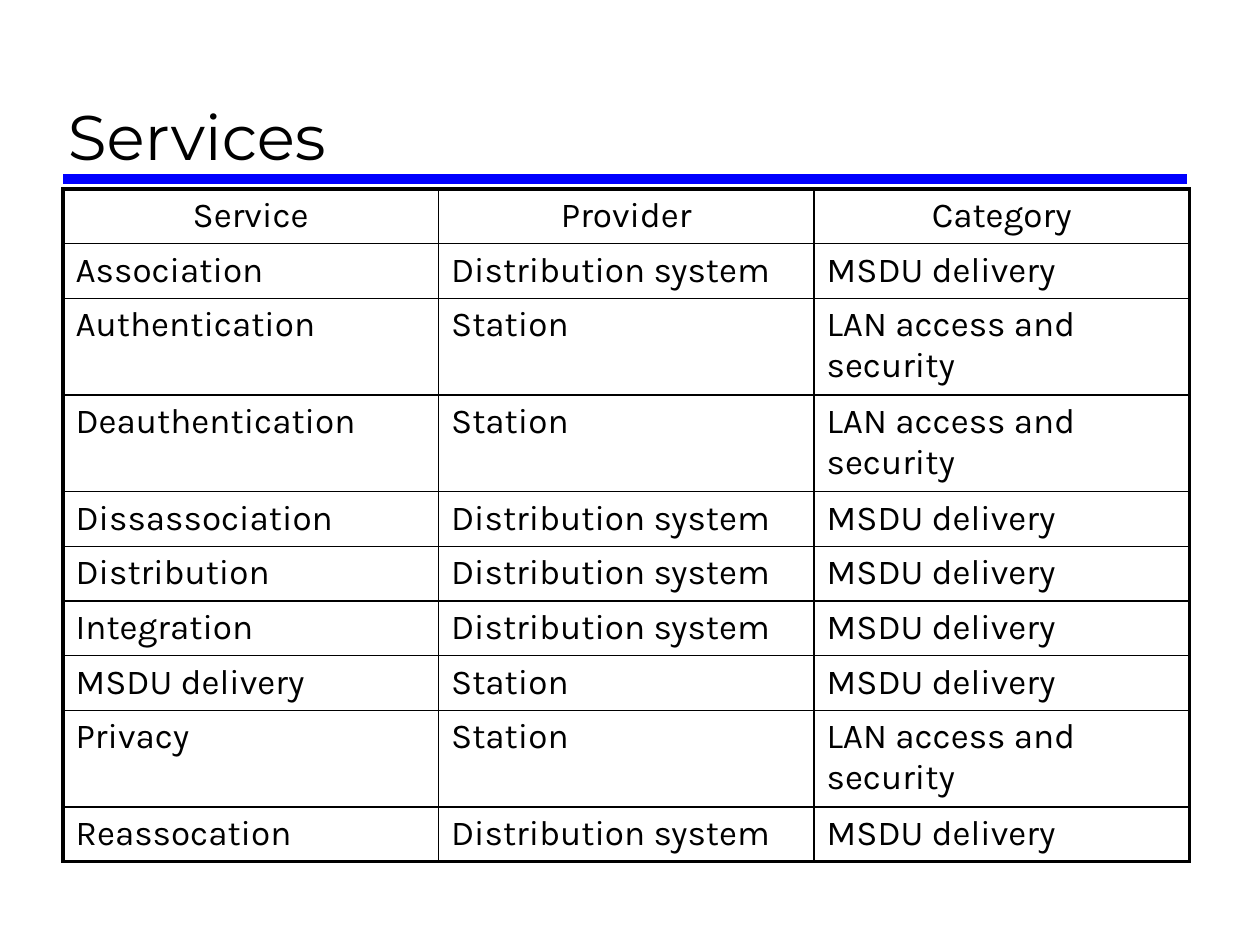
from lxml import etree
from pptx import Presentation
from pptx.dml.color import RGBColor
from pptx.enum.shapes import MSO_CONNECTOR
from pptx.enum.text import MSO_ANCHOR, PP_ALIGN
from pptx.oxml import parse_xml
from pptx.oxml.ns import nsdecls, qn
from pptx.util import Cm, Pt

BLACK = "000000"
BLUE = "0000FF"
THIN, THICK = 1, 2.25
ROW_HEIGHT, TALL_ROW_HEIGHT = 1.08, 1.91

SYSTEM, STATION = "Distribution system", "Station"
DELIVERY, SECURITY = "MSDU delivery", "LAN access and security"
SERVICES = [
    ("Service", "Provider", "Category"),
    ("Association", SYSTEM, DELIVERY),
    ("Authentication", STATION, SECURITY),
    ("Deauthentication", STATION, SECURITY),
    ("Dissassociation", SYSTEM, DELIVERY),
    ("Distribution", SYSTEM, DELIVERY),
    ("Integration", SYSTEM, DELIVERY),
    ("MSDU delivery", STATION, DELIVERY),
    ("Privacy", STATION, SECURITY),
    ("Reassocation", SYSTEM, DELIVERY),
]


def color(hex_string):
    return RGBColor.from_string(hex_string)


def style_runs(paragraph, font_name, size):
    for run in paragraph.runs:
        run.font.name = font_name
        run.font.size = Pt(size)
        run.font.color.rgb = color(BLACK)


def add_heading(slide, left, top, width, height):
    # Title, resting on the rule
    title = slide.shapes.add_textbox(Cm(left), Cm(top), Cm(width), Cm(height))
    frame = title.text_frame
    frame.word_wrap = True
    frame.vertical_anchor = MSO_ANCHOR.BOTTOM
    frame.text = "Services"
    style_runs(frame.paragraphs[0], "Montserrat", 36)

    # Blue rule along the bottom edge
    bottom = Cm(top + height)
    rule = slide.shapes.add_connector(
        MSO_CONNECTOR.STRAIGHT, Cm(left + 0.15), bottom, Cm(left + width + 0.03), bottom)
    rule.line.color.rgb = color(BLUE)
    rule.line.width = Pt(6)
    etree.SubElement(rule._element.spPr, qn("a:effectLst"))


def set_borders(cell, widths):
    """Draw the borders given as left, right, top and bottom widths in points."""
    properties = cell._tc.get_or_add_tcPr()
    for position, (side, width) in enumerate(zip("LRTB", widths)):
        properties.insert(position, parse_xml(
            f'<a:ln{side} {nsdecls("a")} w="{Pt(width)}"><a:solidFill>'
            f'<a:srgbClr val="{BLACK}"/></a:solidFill></a:ln{side}>'))


def add_services_table(slide, left, top, width):
    heights = [TALL_ROW_HEIGHT if category == SECURITY else ROW_HEIGHT
               for _, _, category in SERVICES]
    last_row, last_column = len(SERVICES) - 1, len(SERVICES[0]) - 1
    table = slide.shapes.add_table(
        last_row + 1, last_column + 1,
        Cm(left), Cm(top), Cm(width), Cm(sum(heights))).table
    table.first_row = False
    table.horz_banding = False
    for row, height in zip(table.rows, heights):
        row.height = Cm(height)

    # Cells, with a thick frame around the whole table
    for r, service in enumerate(SERVICES):
        for c, wording in enumerate(service):
            cell = table.cell(r, c)
            cell.text = wording
            cell.fill.background()
            paragraph = cell.text_frame.paragraphs[0]
            paragraph.alignment = PP_ALIGN.CENTER if r == 0 else PP_ALIGN.LEFT
            style_runs(paragraph, "Karla", 20)
            outer = (c == 0, c == last_column, r == 0, r == last_row)
            set_borders(cell, [THICK if edge else THIN for edge in outer])


def main():
    presentation = Presentation()
    presentation.slide_width = Cm(25.4)
    presentation.slide_height = Cm(19.05)
    slide = presentation.slides.add_slide(presentation.slide_layouts[6])
    add_heading(slide, 1.12, 0.43, 22.78, 3.18)
    add_services_table(slide, 1.27, 3.81, 22.71)
    presentation.save("out.pptx")


if __name__ == "__main__":
    main()
